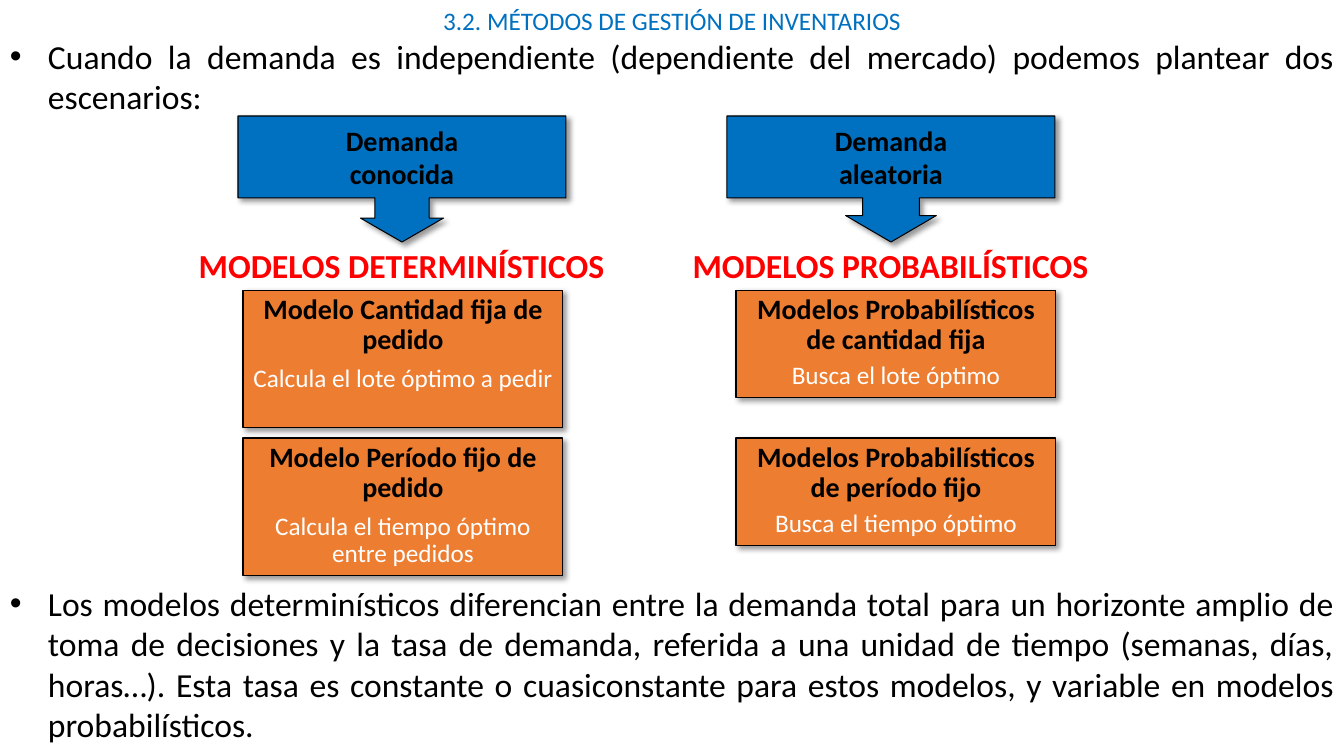
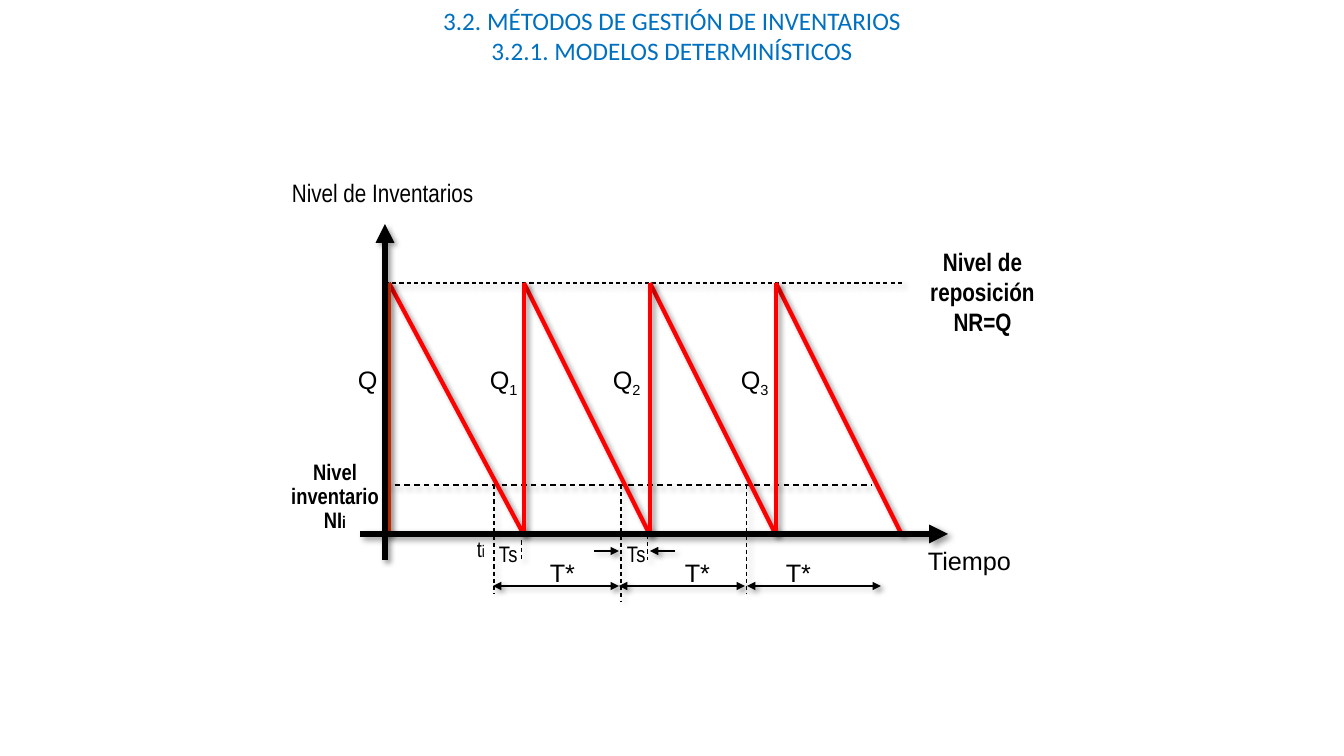
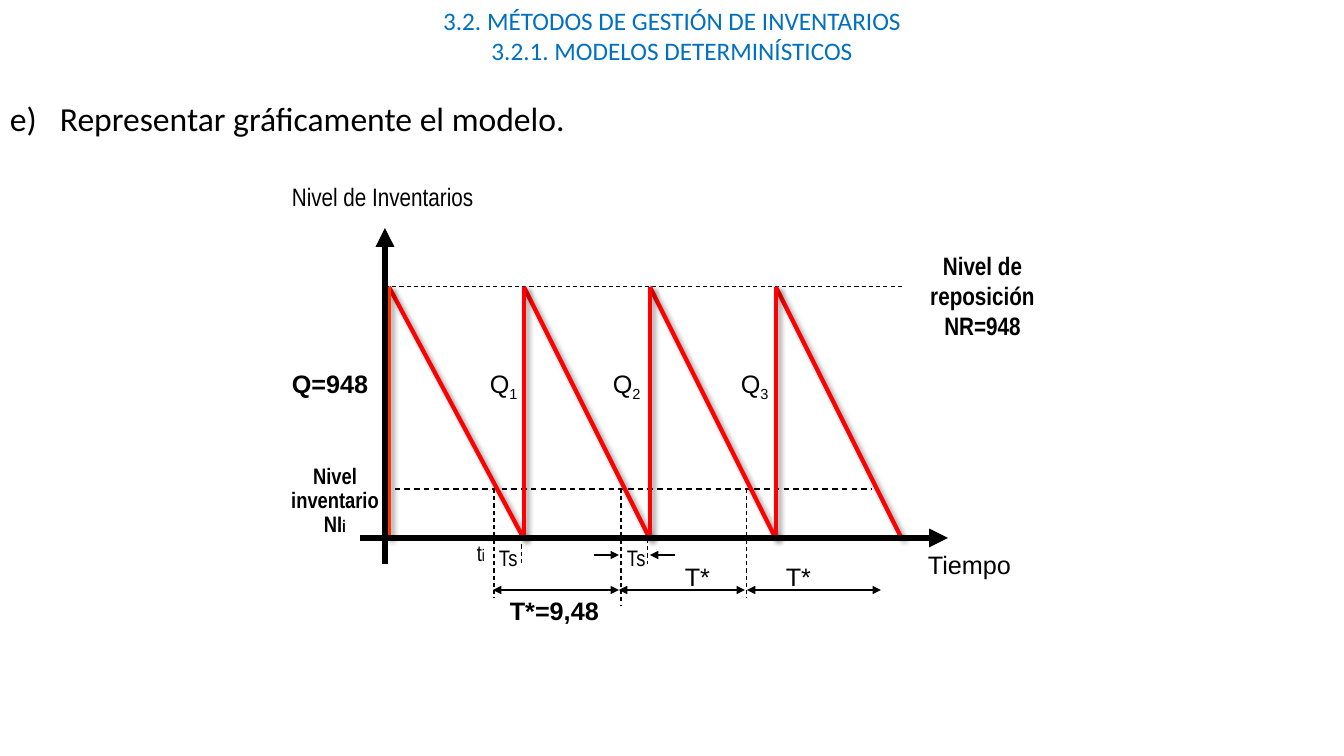
from lxml import etree
from pptx import Presentation
from pptx.dml.color import RGBColor
from pptx.enum.dml import MSO_LINE
from pptx.enum.shapes import MSO_CONNECTOR, MSO_SHAPE
from pptx.enum.text import MSO_ANCHOR, PP_ALIGN
from pptx.oxml.ns import qn
from pptx.util import Pt

# Shared look
SCALE = 914400 / 100.8
WIDTH, HEIGHT = 1344, 756
COLORS = {"black": "000000", "white": "FFFFFF", "blue": "0070C0",
          "orange": "ED7D31", "red": "FF0000", "scarlet": "FF3300"}
LEFT, CENTER, JUSTIFY = PP_ALIGN.LEFT, PP_ALIGN.CENTER, PP_ALIGN.JUSTIFY
TOP, MIDDLE = MSO_ANCHOR.TOP, MSO_ANCHOR.MIDDLE
DASH = MSO_LINE.DASH
STRAIGHT = MSO_CONNECTOR.STRAIGHT
RECTANGLE, CALLOUT = MSO_SHAPE.RECTANGLE, MSO_SHAPE.DOWN_ARROW_CALLOUT

# Style: font, size, color, bold, alignment, line spacing
STYLES = {
    "title": ("Calibri", 18, "blue", False, CENTER, 1.0),
    "body": ("Calibri", 24, "black", False, JUSTIFY, 1.0),
    "heading": ("Calibri", 24, "red", True, CENTER, 1.0),
    "callout": ("Calibri", 20, "black", True, CENTER, 1.0),
    "model": ("Calibri", 20, "black", True, CENTER, 0.9),
    "purpose": ("Calibri", 18, "white", False, CENTER, 0.9),
    "label": ("Arial", 18, "black", False, LEFT, 1.0),
    "result": ("Arial", 18, "black", True, LEFT, 1.0),
    "axis": ("Arial Narrow", 18, "black", False, LEFT, 1.0),
    "level": ("Arial Narrow", 18, "black", True, CENTER, 1.0),
    "stock": ("Arial Narrow", 16, "black", True, CENTER, 0.9),
    "time": ("Arial Narrow", 16, "black", False, LEFT, 1.0),
}
BULLET = (38, (("buFont", {"typeface": "Arial"}), ("buChar", {"char": "•"})))
LETTER_E = (50, (("buAutoNum", {"type": "alphaLcParenR", "startAt": "5"}),))

# Content
CHAPTER = "3.2. MÉTODOS DE GESTIÓN DE INVENTARIOS"
SECTION = "3.2.1. MODELOS DETERMINÍSTICOS"
SCENARIOS_INTRO = ("Cuando la demanda es independiente (dependiente del mercado) "
                   "podemos plantear dos escenarios:")
SCENARIOS_NOTE = (
    "Los modelos determinísticos diferencian entre la demanda total para un horizonte "
    "amplio de toma de decisiones y la tasa de demanda, referida a una unidad de tiempo "
    "(semanas, días, horas…). Esta tasa es constante o cuasiconstante para estos modelos, "
    "y variable en modelos probabilísticos.")
SCENARIOS = [
    {"demand": ("Demanda", "conocida"), "callout_left": 238,
     "adjustments": (0.43, 0.33, 0.19, 0.65),
     "heading": "MODELOS DETERMINÍSTICOS", "heading_box": (175, 240, 453, 50),
     "models_left": 243, "model_height": 138, "gap": 7,
     "models": [("Modelo Cantidad fija de pedido", "Calcula el lote óptimo a pedir"),
                ("Modelo Período fijo de pedido",
                 "Calcula el tiempo óptimo entre pedidos")]},
    {"demand": ("Demanda", "aleatoria"), "callout_left": 727,
     "adjustments": (0.45, 0.36, 0.21, 0.65),
     "heading": "MODELOS PROBABILÍSTICOS", "heading_box": (679, 240, 423, 50),
     "models_left": 736, "model_height": 108, "gap": 5,
     "models": [("Modelos Probabilísticos de cantidad fija", "Busca el lote óptimo"),
                ("Modelos Probabilísticos de período fijo", "Busca el tiempo óptimo")]},
]
MODEL_TOPS = (290, 438)
EXERCISE = "Representar gráficamente el modelo."

# Inventory diagram: a paragraph is a tuple of runs, (text, kind) marks a small run
PEAK, REORDER, BASE = 283, 485, 535
CYCLES = (389, 524, 650, 776, 902)
COMMON_LABELS = [
    ("time", (617, 535, 42, 37), [("Ts",)]),
    ("time", (489, 535, 42, 37), [("Ts",)]),
    ("time", (467, 530, 42, 37), [("t", ("i", "small"))]),
    ("axis", (282, 172, 232, 40), [("Nivel de Inventarios",)]),
    ("label", (918, 540, 143, 40), [("Tiempo",)]),
    ("label", (480, 359, 58, 40), [("Q", ("1", "sub"))]),
    ("label", (603, 359, 58, 40), [("Q", ("2", "sub"))]),
    ("label", (731, 359, 58, 40), [("Q", ("3", "sub"))]),
    ("label", (675, 552, 58, 40), [("T*",)]),
    ("label", (776, 552, 58, 40), [("T*",)]),
    ("stock", (272, 456, 126, 84), [("Nivel inventario",), ("NI", ("i", "small"))]),
]
LEVEL_BOX = (905, 241, 155, 102)
GENERAL_LABELS = [
    ("level", LEVEL_BOX, [("Nivel de reposición NR=Q",)]),
    ("label", (348, 359, 42, 40), [("Q",)]),
    ("label", (540, 552, 58, 40), [("T*",)]),
]
SOLVED_LABELS = [
    ("level", LEVEL_BOX, [("Nivel de reposición NR=948",)]),
    ("result", (282, 359, 99, 40), [("Q=948",)]),
    ("result", (500, 586, 120, 40), [("T*=9,48",)]),
]
DASHED_LINES = [  # start x, start y, end x, end y, width
    (385, PEAK, 905, PEAK, 0.75),
    (385, REORDER, 872, REORDER, 1),
    (494, REORDER, 494, 594, 0.75),
    (621, REORDER, 621, 602, 0.75),
    (747, REORDER, 747, 594, 0.75),
    (522, 526, 522, 560, 0.75),
    (648, BASE, 648, 560, 0.75),
]
ARROWS = [  # start x, start y, end x, end y, width, arrowheads
    (675, 551, 650, 551, 0.75, ("tailEnd",)),
    (594, 551, 619, 551, 0.75, ("tailEnd",)),
    (493, 586, 619, 586, 0.75, ("headEnd", "tailEnd")),
    (619, 586, 745, 586, 0.75, ("headEnd", "tailEnd")),
    (747, 586, 881, 586, 0.75, ("headEnd", "tailEnd")),
    (360, 534, 948, 534, 4.5, ("tailEnd",)),
    (385, 224, 385, 560, 4.5, ("headEnd",)),
]


def px(*lengths):
    return [round(length * SCALE) for length in lengths]


def rgb(name):
    return RGBColor.from_string(COLORS[name])


def add_xml(parent, tag, **attributes):
    return etree.SubElement(parent, qn("a:" + tag), attributes)


def set_shadow(shape, visible=True):
    effects = add_xml(shape.element.spPr, "effectLst")
    if visible:
        shadow = add_xml(effects, "outerShdw", blurRad=str(Pt(4)), dist=str(Pt(3)),
                         dir="2700000", algn="tl", rotWithShape="0")
        color = add_xml(shadow, "srgbClr", val=COLORS["black"])
        add_xml(color, "alpha", val="40000")


def write(frame, paragraphs, anchor=TOP, gap=0, bullet=None):
    """Fill a text frame with (style, runs) paragraphs."""
    frame.word_wrap = True
    frame.vertical_anchor = anchor
    for index, (style, runs) in enumerate(paragraphs):
        font_name, size, color, bold, alignment, spacing = STYLES[style]
        paragraph = frame.paragraphs[0] if index == 0 else frame.add_paragraph()
        paragraph.alignment = alignment
        paragraph.line_spacing = spacing
        if index and gap:
            paragraph.space_before = Pt(gap)
        if bullet:
            indent, elements = bullet
            properties = paragraph._p.get_or_add_pPr()
            properties.set("marL", str(px(indent)[0]))
            properties.set("indent", str(-px(indent)[0]))
            for tag, attributes in elements:
                add_xml(properties, tag, **attributes)
        font = paragraph.font
        font.name, font.size, font.bold = font_name, Pt(size), bold
        font.color.rgb = rgb(color)
        for item in runs:
            text, kind = (item, None) if isinstance(item, str) else item
            run = paragraph.add_run()
            run.text = text
            if kind == "small":
                run.font.size = Pt(12)
            elif kind == "sub":
                run._r.get_or_add_rPr().set("baseline", "-25000")


def add_text(slide, box, paragraphs, **options):
    write(slide.shapes.add_textbox(*px(*box)).text_frame, paragraphs, **options)


def add_box(slide, kind, box, fill, paragraphs, adjustments=(), **options):
    shape = slide.shapes.add_shape(kind, *px(*box))
    for index, value in enumerate(adjustments):
        shape.adjustments[index] = value
    shape.fill.solid()
    shape.fill.fore_color.rgb = rgb(fill)
    shape.line.color.rgb = rgb("black")
    shape.line.width = Pt(0.75)
    set_shadow(shape)
    write(shape.text_frame, paragraphs, **options)


def add_line(slide, points, width, color="black", dash=None, heads=(), shadow=True):
    connector = slide.shapes.add_connector(STRAIGHT, *px(*points))
    line = connector.line
    line.color.rgb = rgb(color)
    line.width = Pt(width)
    if dash:
        line.dash_style = dash
    outline = connector.element.spPr.find(qn("a:ln"))
    for head in heads:
        add_xml(outline, head, type="triangle")
    set_shadow(connector, shadow)


def add_slide(presentation, *title_lines):
    slide = presentation.slides.add_slide(presentation.slide_layouts[5])
    title = slide.shapes.title
    title.left, title.top, title.width, title.height = px(
        0, 0, WIDTH, 10 + 30 * len(title_lines))
    write(title.text_frame, [("title", (line,)) for line in title_lines])
    return slide


def draw_scenarios(slide):
    add_text(slide, (0, 31, WIDTH, 92), [("body", (SCENARIOS_INTRO,))], bullet=BULLET)
    for scenario in SCENARIOS:
        for top, (model, purpose) in zip(MODEL_TOPS, scenario["models"]):
            box = (scenario["models_left"], top, 320, scenario["model_height"])
            add_box(slide, RECTANGLE, box, "orange",
                    [("model", (model,)), ("purpose", (purpose,))], gap=scenario["gap"])
        add_text(slide, scenario["heading_box"], [("heading", (scenario["heading"],))])
        add_box(slide, CALLOUT, (scenario["callout_left"], 116, 328, 126), "blue",
                [("callout", (line,)) for line in scenario["demand"]],
                scenario["adjustments"], anchor=MIDDLE)
    add_text(slide, (0, 577, WIDTH, 173), [("body", (SCENARIOS_NOTE,))],
             anchor=MIDDLE, bullet=BULLET)


def draw_inventory(slide, labels, shift=0, shadow=True):
    def lowered(start_x, start_y, end_x, end_y):
        return start_x, start_y + shift, end_x, end_y + shift

    for style, (left, top, width, height), paragraphs in COMMON_LABELS + labels:
        add_text(slide, (left, top + shift, width, height),
                 [(style, runs) for runs in paragraphs])
    for *points, width in DASHED_LINES:
        add_line(slide, lowered(*points), width, dash=DASH, shadow=shadow)
    # Saw-tooth: each order refills the stock, which then runs out
    for index, (start, end) in enumerate(zip(CYCLES, CYCLES[1:])):
        add_line(slide, lowered(start, PEAK, end, BASE), 3, "red")
        add_line(slide, lowered(start, BASE, start, PEAK), 3,
                 "red" if index else "scarlet")
    for *points, width, heads in ARROWS:
        add_line(slide, lowered(*points), width, heads=heads, shadow=shadow)


def main():
    presentation = Presentation()
    presentation.slide_width, presentation.slide_height = px(WIDTH, HEIGHT)

    draw_scenarios(add_slide(presentation, CHAPTER))
    draw_inventory(add_slide(presentation, CHAPTER, SECTION), GENERAL_LABELS)

    solved = add_slide(presentation, CHAPTER, SECTION)
    draw_inventory(solved, SOLVED_LABELS, shift=4, shadow=False)
    add_text(solved, (0, 93, WIDTH, 50), [("body", (EXERCISE,))], bullet=LETTER_E)

    presentation.save("out.pptx")


if __name__ == "__main__":
    main()
